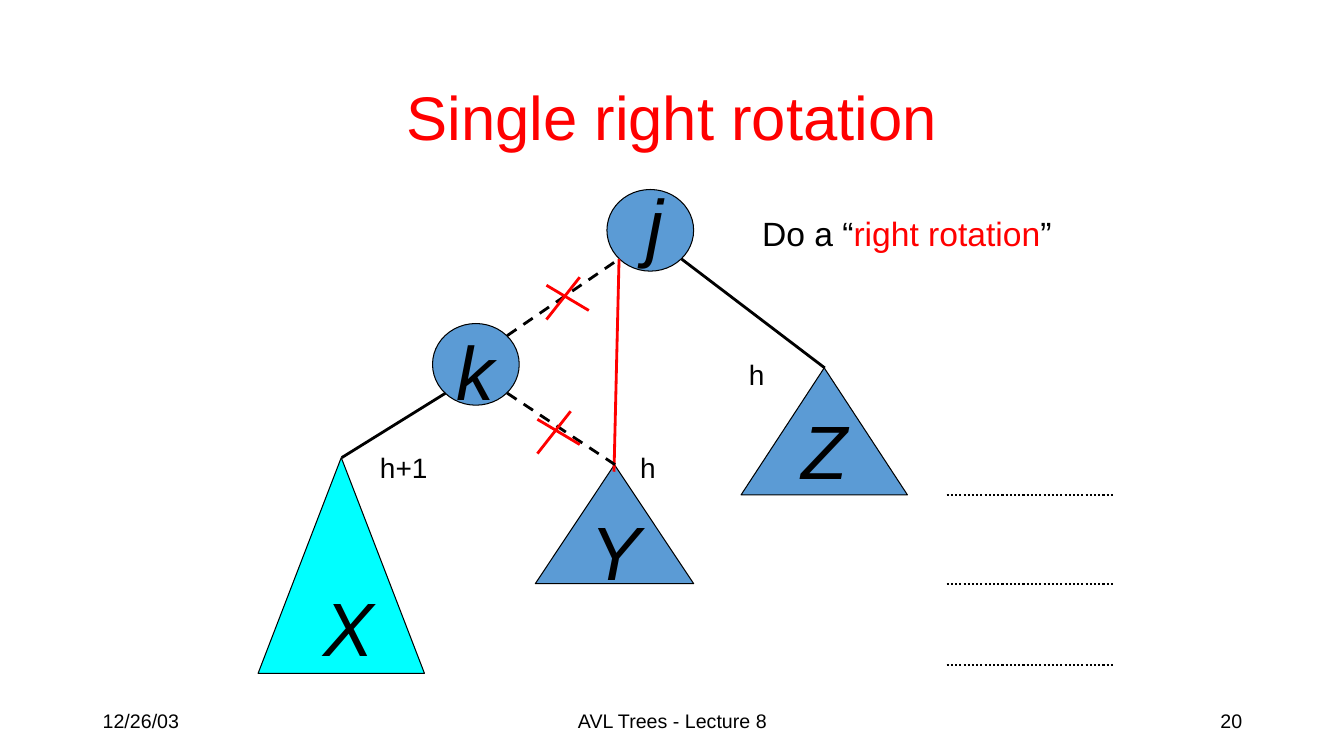
"""Build the slide on a single right rotation of an AVL tree."""
from lxml.etree import SubElement
from pptx import Presentation
from pptx.dml.color import RGBColor
from pptx.enum.dml import MSO_LINE
from pptx.enum.shapes import MSO_CONNECTOR, MSO_SHAPE
from pptx.enum.text import MSO_ANCHOR, PP_ALIGN
from pptx.oxml.ns import qn
from pptx.util import Inches, Pt

BLACK, RED, BLUE, CYAN = "000000", "FF0000", "5B9BD5", "00FFFF"
FONT = "Arial"

TITLE = "Single right rotation"
FOOTERS = [
    ("12/26/03", 0.92, 3, PP_ALIGN.LEFT),
    ("AVL Trees - Lecture 8", 4.42, 4.5, PP_ALIGN.CENTER),
    ("20", 9.42, 3, PP_ALIGN.RIGHT),
]
NODES = [
    ("j", (6.02, 1.88), (6.31, 1.65)),
    ("k", (4.29, 3.21), (4.43, 3.1)),
]
SUBTREES = [
    ("X", (2.56, 4.54, 1.65, 2.14), CYAN, (3.11, 5.64)),
    ("Y", (5.31, 4.61, 1.57, 1.18), BLUE, (5.76, 4.89)),
    ("Z", (7.35, 3.65, 1.65, 1.26), BLUE, (7.85, 3.89)),
]
EDGES = [
    ((4.42, 3.9), (3.39, 4.54), BLACK, None),
    ((6.76, 2.57), (8.18, 3.65), BLACK, None),
    ((6.14, 2.57), (6.09, 4.68), RED, None),
    ((5.03, 3.33), (6.14, 2.57), BLACK, MSO_LINE.DASH),
    ((5.03, 3.9), (6.1, 4.61), BLACK, MSO_LINE.DASH),
]
CROSSES = [(5.42, 2.75), (5.33, 4.08)]
CROSS_STROKES = [((0, 0.08), (0.42, 0.33)), ((0.33, 0), (0, 0.42))]
LEVELS = [4.91, 5.79, 6.6]
HEIGHTS = [
    ("h", 7.33, 3.5, 0.36),
    ("h+1", 3.67, 4.42, 0.67),
    ("h", 6.25, 4.42, 0.36),
]
ADVICE = [("Do a “", BLACK), ("right rotation", RED), ("”", BLACK)]


def rgb(color):
    return RGBColor.from_string(color)


def write(tf, runs, size, align=PP_ALIGN.LEFT, italic=False):
    p = tf.paragraphs[0]
    p.alignment = align
    for text, color in runs:
        r = p.add_run()
        r.text = text
        r.font.name = FONT
        r.font.size = Pt(size)
        r.font.italic = italic
        r.font.color.rgb = rgb(color)


def add_text(s, box, runs, size, align=PP_ALIGN.LEFT, italic=False,
             wrap=False, anchor=MSO_ANCHOR.TOP):
    tf = s.shapes.add_textbox(*map(Inches, box)).text_frame
    tf.word_wrap = wrap
    tf.vertical_anchor = anchor
    write(tf, runs, size, align, italic)
    return tf


def add_letter(s, letter, corner):
    tf = add_text(s, (*corner, 0.53, 1), [(letter, BLACK)], 54,
                  italic=True, wrap=True)
    tf.margin_top = Inches(0.12)


def add_figure(s, kind, box, fill):
    sp = s.shapes.add_shape(kind, *map(Inches, box))
    sp.shadow.inherit = False
    sp.fill.solid()
    sp.fill.fore_color.rgb = rgb(fill)
    sp.line.color.rgb = rgb(BLACK)
    sp.line.width = Pt(0.75)


def add_line(s, start, end, color=BLACK, dash=None, width=2):
    line = s.shapes.add_connector(MSO_CONNECTOR.STRAIGHT,
                                  *map(Inches, (*start, *end)))
    line.line.color.rgb = rgb(color)
    line.line.width = Pt(width)
    if dash:
        line.line.dash_style = dash
    SubElement(line._element.spPr, qn("a:effectLst"))


def main():
    prs = Presentation()
    prs.slide_width, prs.slide_height = Inches(13.33), Inches(7.5)
    s = prs.slides.add_slide(prs.slide_layouts[5])

    title = s.shapes.title
    title.left, title.top = Inches(2.39), Inches(0.71)
    title.width, title.height = Inches(8.55), Inches(0.88)
    title.text_frame.vertical_anchor = MSO_ANCHOR.MIDDLE
    write(title.text_frame, [(TITLE, RED)], 44, PP_ALIGN.CENTER)

    for text, left, width, align in FOOTERS:
        add_text(s, (left, 6.95, width, 0.4), [(text, BLACK)], 14, align,
                 wrap=True, anchor=MSO_ANCHOR.MIDDLE)
    for letter, corner, letter_corner in NODES:
        add_figure(s, MSO_SHAPE.OVAL, (*corner, 0.86, 0.81), BLUE)
        add_letter(s, letter, letter_corner)
    for letter, box, fill, letter_corner in SUBTREES:
        add_figure(s, MSO_SHAPE.ISOSCELES_TRIANGLE, box, fill)
        add_letter(s, letter, letter_corner)
    for edge in EDGES:
        add_line(s, *edge)
    for x, y in CROSSES:
        for (x1, y1), (x2, y2) in CROSS_STROKES:
            add_line(s, (x + x1, y + y1), (x + x2, y + y2), RED)
    for y in LEVELS:
        add_line(s, (9.39, y), (11.04, y), dash=MSO_LINE.ROUND_DOT, width=1.5)

    add_text(s, (7.46, 2.06, 3.07, 0.5), ADVICE, 24)
    for text, left, top, width in HEIGHTS:
        add_text(s, (left, top, width, 0.43), [(text, BLACK)], 20)
    prs.save("out.pptx")


if __name__ == "__main__":
    main()
